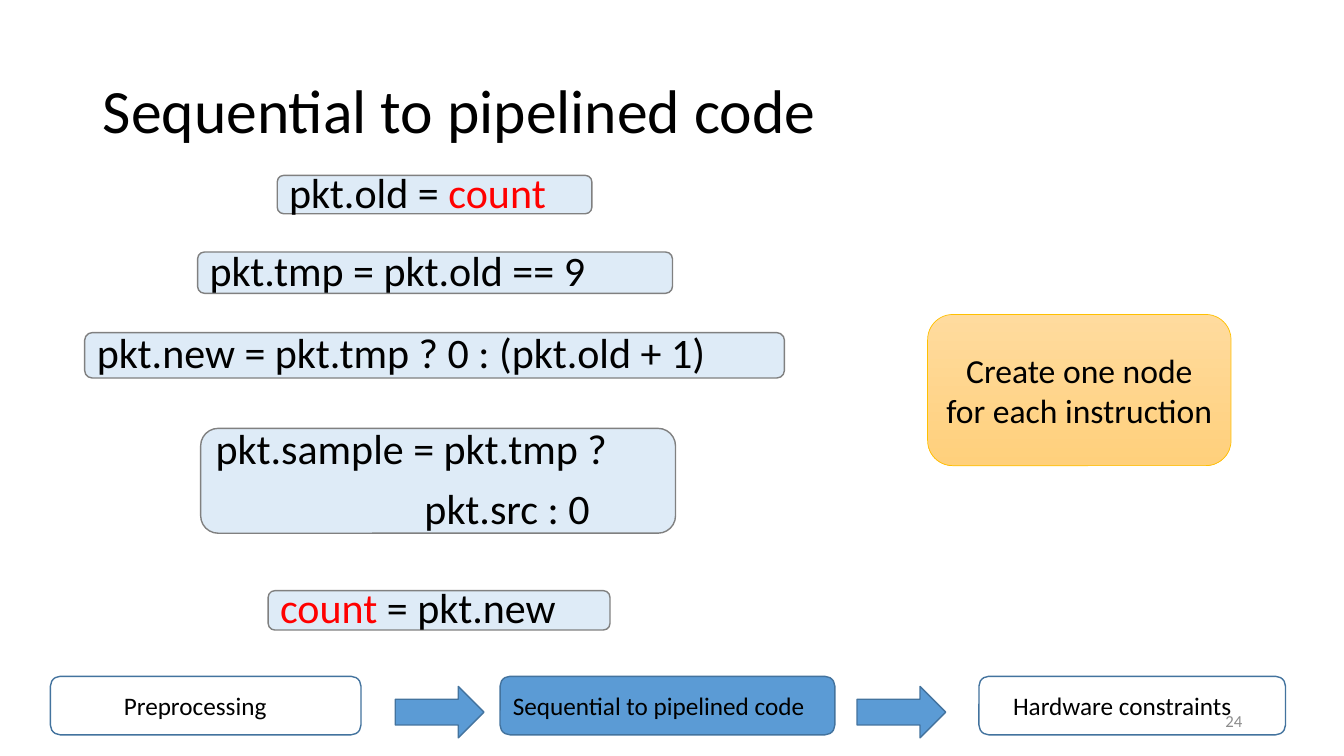
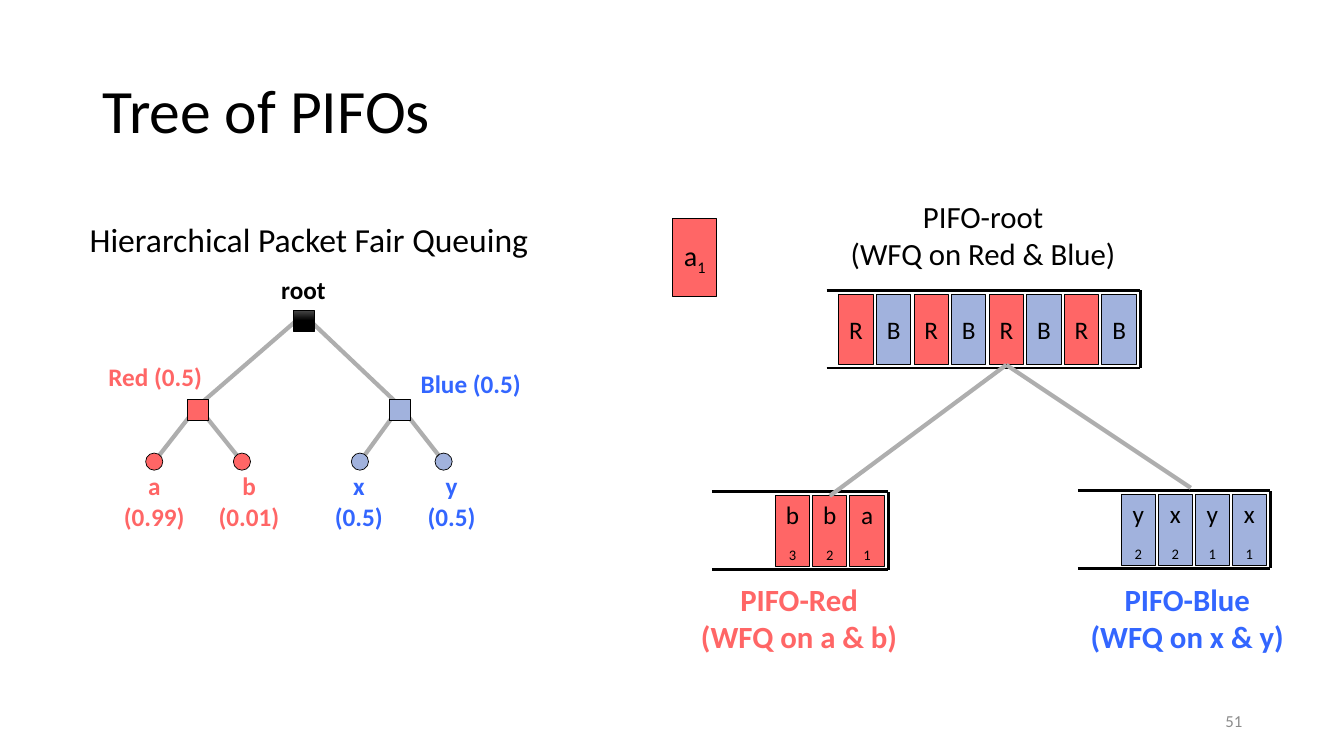
"""Build two slides on pipelined code and trees of PIFOs."""
from lxml import etree
from pptx import Presentation
from pptx.dml.color import RGBColor
from pptx.enum.shapes import MSO_CONNECTOR, MSO_SHAPE
from pptx.enum.text import MSO_ANCHOR, PP_ALIGN
from pptx.oxml.ns import qn
from pptx.util import Inches, Pt

LINE = MSO_CONNECTOR.STRAIGHT
RECT, ROUND = MSO_SHAPE.RECTANGLE, MSO_SHAPE.ROUNDED_RECTANGLE
OVAL, ARROW = MSO_SHAPE.OVAL, MSO_SHAPE.RIGHT_ARROW
TOP, MIDDLE = MSO_ANCHOR.TOP, MSO_ANCHOR.MIDDLE
LEFT, CENTER, RIGHT = PP_ALIGN.LEFT, PP_ALIGN.CENTER, PP_ALIGN.RIGHT

FONT = "Calibri"
BLACK, GRAY, EDGE = "000000", "AEAEAE", "808080"
RED, ROSE, SKY, ROYAL = "FF0000", "FF6666", "A1B2DD", "3366FF"
PALE, BLUE, NAVY = "DEEBF7", "5B9BD5", "43739E"


def paint(code):
    return RGBColor.from_string(code)


class Deck:
    def __init__(self):
        self.show = Presentation()
        self.show.slide_width = Inches(13.33)
        self.show.slide_height = Inches(7.5)

    def page(self, title):
        self.slide = self.show.slides.add_slide(self.show.slide_layouts[5])
        head = self.slide.shapes.title
        head.left, head.top, head.width, head.height = map(
            Inches, (0.92, 0.4, 11.5, 1.45))
        head.text_frame.text = title
        self.style(head.text_frame, 44, anchor=MIDDLE, align=LEFT, space=0.9)

    def style(self, frame, size, color=BLACK, bold=False, align=CENTER,
              anchor=TOP, space=1.0, after=0):
        frame.word_wrap = True
        frame.vertical_anchor = anchor
        for par in frame.paragraphs:
            par.alignment = align
            par.line_spacing = space
            par.space_after = Pt(after)
            for run in par.runs:
                run.font.name = FONT
                run.font.size = Pt(size)
                run.font.bold = bold
                run.font.color.rgb = paint(color)

    def add(self, frame, text):
        run = frame.paragraphs[0].add_run()
        run.text = text
        return run

    def text(self, text, area, size, color=BLACK, **look):
        frame = self.slide.shapes.add_textbox(*map(Inches, area)).text_frame
        frame.text = text
        self.style(frame, size, color, **look)

    def label(self, text, mid, top, color):
        self.text(text, (mid - 0.75, top, 1.5, 0.4), 18, color, bold=True)

    def shape(self, kind, area, fill=None, line=BLACK, width=0.5):
        shape = self.slide.shapes.add_shape(kind, *map(Inches, area))
        shape.shadow.inherit = False
        if fill:
            shape.fill.solid()
            shape.fill.fore_color.rgb = paint(fill)
        else:
            shape.fill.background()
        shape.line.color.rgb = paint(line)
        shape.line.width = Pt(width)
        return shape

    def shade(self, shape, start, end, stop=1.0):
        shape.fill.gradient()
        shape.fill.gradient_angle = 270
        first, last = shape.fill.gradient_stops
        first.color.rgb, last.color.rgb = paint(start), paint(end)
        last.position = stop

    def line(self, start, end, color=BLACK, width=2):
        line = self.slide.shapes.add_connector(
            LINE, *map(Inches, (*start, *end)))
        line.line.color.rgb = paint(color)
        line.line.width = Pt(width)
        etree.SubElement(line._element.spPr, qn("a:effectLst"))
        return line

    def code(self, text, area):
        frame = self.shape(ROUND, area, PALE, EDGE, 1).text_frame
        head, mark, tail = text.partition("count")
        frame.text = head
        runs = [self.add(frame, part) for part in (mark, tail) if part]
        self.style(frame, 30, align=LEFT, anchor=MIDDLE, space=0.9, after=10.5)
        if mark:
            runs[0].font.color.rgb = paint(RED)

    def stage(self, text, left, width, inset, fill=None):
        area = (left, 6.71, width, 0.58)
        frame = self.shape(ROUND, area, fill, NAVY, 1).text_frame
        frame.margin_left = Inches(inset)
        frame.margin_right = 0
        frame.text = text
        self.style(frame, 18, align=LEFT, anchor=MIDDLE)

    def cell(self, name, area, size=18):
        fill = ROSE if name[0] in "Rab" else SKY
        shape = self.shape(RECT, area, fill, width=0.75)
        frame = shape.text_frame
        frame.text = name[0]
        for digit in name[1:]:
            run = self.add(frame, digit)
            run._r.get_or_add_rPr().set("baseline", "-25000")
        self.style(frame, size, anchor=MIDDLE)
        return shape

    def queue(self, names, left, right, top, first):
        base = top + 0.77
        self.line((left, top), (right, top))
        self.line((left, base), (right, base))
        self.line((right, base), (right, top))
        step = (right - 0.38 - first) / (len(names) - 1)
        return [self.cell(name, (first + i * step, top + 0.04, 0.34, 0.7))
                for i, name in enumerate(names)]

    def node(self, kind, mid, size, fill):
        x, y = mid
        area = (x - size / 2, y - size / 2, size, size)
        return self.shape(kind, area, fill)

    def number(self, text):
        self.text(text, (9.42, 6.95, 3, 0.4), 12, "8C8C8C",
                  align=RIGHT, anchor=MIDDLE)


def code_page(deck):
    deck.page("Sequential to pipelined code")
    note = deck.shape(ROUND, (9.2, 3.12, 3.01, 1.5), line="FFC000")
    deck.shade(note, "FFDB9E", "FFD07C")
    note.text_frame.text = "Create one node for each instruction"
    deck.style(note.text_frame, 24, anchor=MIDDLE)
    for text, area in (
        ("pkt.old = count", (2.75, 1.74, 3.12, 0.38)),
        ("pkt.tmp = pkt.old == 9", (1.96, 2.5, 4.71, 0.41)),
        ("pkt.new = pkt.tmp ? 0 : (pkt.old + 1)", (0.84, 3.3, 6.94, 0.45)),
        ("pkt.sample = pkt.tmp ?\n                      pkt.src : 0",
         (1.99, 4.25, 4.71, 1.04)),
        ("count = pkt.new", (2.66, 5.86, 3.39, 0.39)),
    ):
        deck.code(text, area)
    deck.stage("Preprocessing", 0.5, 3.08, 0.7)
    deck.stage("Sequential to pipelined code", 4.96, 3.32, 0.1, BLUE)
    deck.stage("Hardware constraints", 9.71, 3.04, 0.31)
    for left in (3.92, 8.5):
        deck.shape(ARROW, (left, 6.81, 0.88, 0.51), BLUE, NAVY, 1)
    deck.number("24")


def tree(deck):
    deck.text("Hierarchical Packet Fair Queuing", (0.79, 2.12, 4.88, 0.5), 24,
              align=LEFT)
    root = (3.01, 3.18)
    sides = (
        ("Red (0.5)", 1.54, 3.54, 1.96, ROSE, ROSE,
         (("a\n(0.99)", 1.53, 1.53), ("b\n(0.01)", 2.4, 2.47))),
        ("Blue (0.5)", 4.67, 3.6, 3.97, SKY, ROYAL,
         (("x\n(0.5)", 3.57, 3.56), ("y\n(0.5)", 4.4, 4.48))),
    )
    for name, mid, top, x, fill, color, kids in sides:
        deck.line((root[0], 3.12), (x, 4.03), GRAY, 3)
        for text, spot, place in kids:
            deck.line((x, 4.03), (spot, 4.58), GRAY, 3)
            deck.node(OVAL, (spot, 4.58), 0.17, fill)
            deck.label(text, place, 4.62, color)
        deck.node(RECT, (x, 4.07), 0.21, fill)
        deck.label(name, mid, top, color)
    deck.shade(deck.node(RECT, root, 0.21, BLACK), "4B4B4B", BLACK, 0.5)
    deck.label("root", root[0], 2.67, BLACK)


def tree_page(deck):
    deck.page("Tree of PIFOs")
    tree(deck)
    main = deck.queue("RBRBRBRB", 8.2, 11.31, 2.88, 8.32)
    reds = deck.queue(("b3", "b2", "a1"), 7.06, 8.81, 4.88, 7.69)
    deck.queue(("y2", "x2", "y1", "x1"), 10.69, 12.6, 4.87, 11.12)
    for end, goal in (((8.23, 4.92), reds[1]), ((11.81, 4.84), None)):
        link = deck.line((10, 3.62), end, GRAY, 3)
        link.begin_connect(main[4], 2)
        if goal:
            link.end_connect(goal, 0)
    for text, left, top, width, color, bold in (
        ("PIFO-root\n(WFQ on Red & Blue)", 8.1, 1.91, 3.3, BLACK, False),
        ("PIFO-Red\n(WFQ on a & b)", 6.5, 5.71, 2.85, ROSE, True),
        ("PIFO-Blue\n(WFQ on x & y)", 10.35, 5.71, 2.85, ROYAL, True),
    ):
        deck.text(text, (left, top, width, 0.84), 22, color, bold=bold)
    deck.cell("a1", (6.67, 2.17, 0.44, 0.77), 20)
    deck.number("51")


def main():
    deck = Deck()
    code_page(deck)
    tree_page(deck)
    deck.show.save("out.pptx")


if __name__ == "__main__":
    main()
